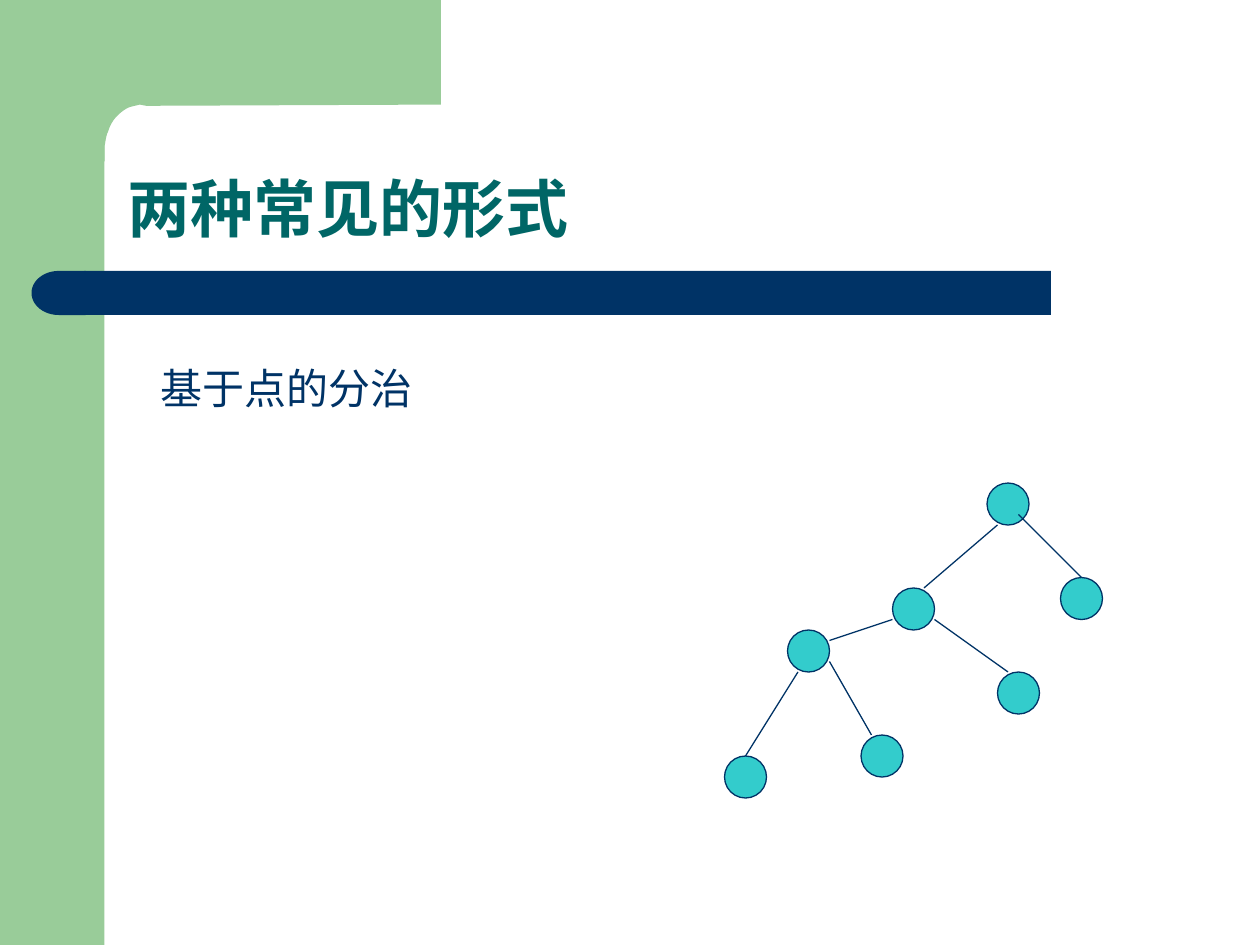
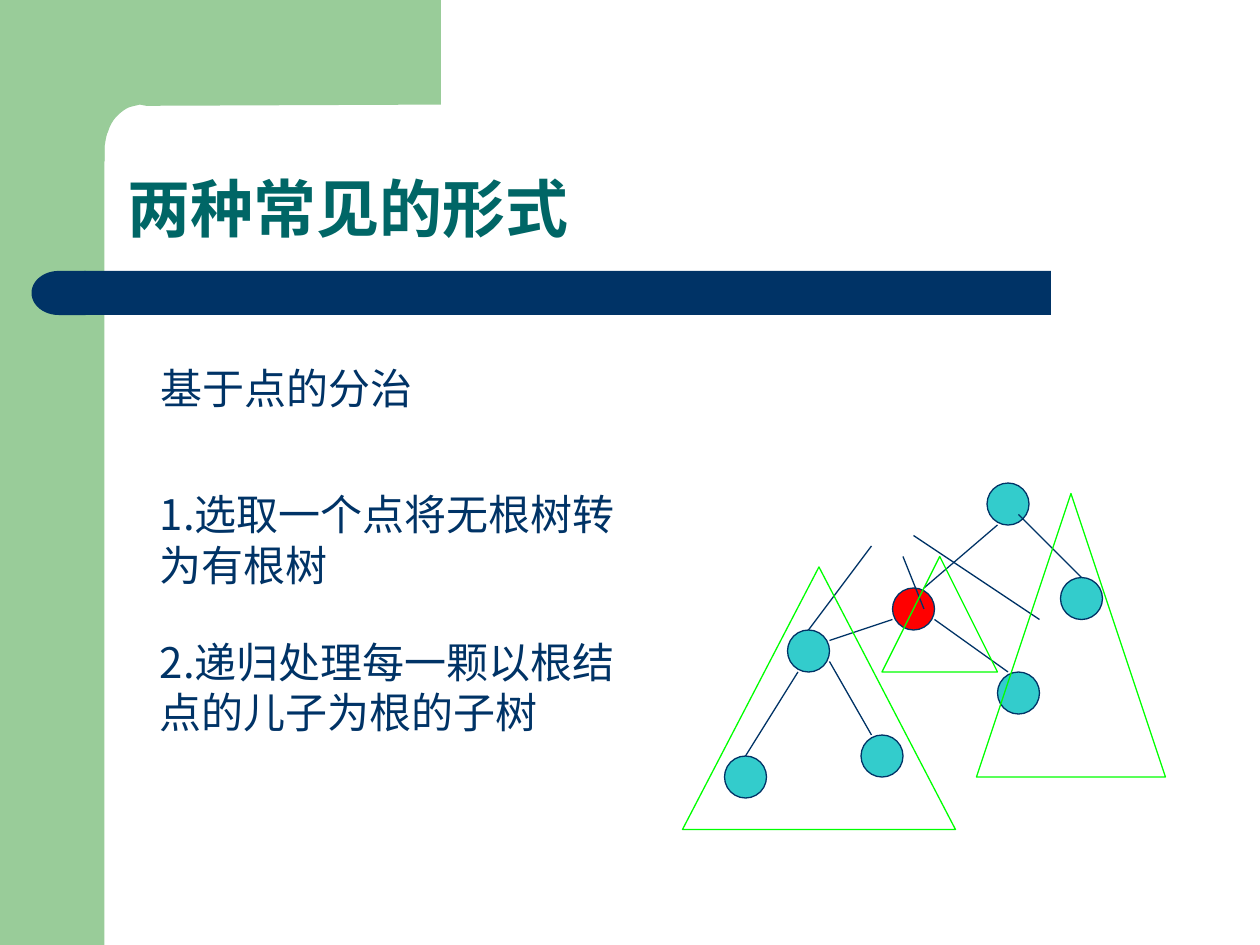
import lxml.etree
import pptx
import pptx.dml.color
import pptx.enum.shapes
import pptx.enum.text
import pptx.oxml.ns
import pptx.util

Inches, Pt = pptx.util.Inches, pptx.util.Pt
SHAPE = pptx.enum.shapes.MSO_SHAPE
ANCHOR = pptx.enum.text.MSO_ANCHOR

COLORS = {"band": "99CC99", "bar": "003366", "title": "006666", "text": "003366",
          "line": "003366", "node": "33CCCC", "chosen": "FF0000", "subtree": "00FF00"}
LATIN, CJK = "Arial", "Noto Sans CJK SC"
LINE_WIDTH = Pt(0.74)

TITLE = "两种常见的形式"
SUBTITLE = "基于点的分治"
STEPS = [("1.选取一个点将无根树转为有根树", 3.83),
         ("2.递归处理每一颗以根结点的儿子为根的子树", 5)]

# The tree lies on a grid of twelfths of an inch.
GRID = 12
NODE_SIZE = 4
NODES = {"top": (94, 46), "right": (101, 55), "hub": (85, 56), "left": (75, 60),
         "left leaf": (69, 72), "middle leaf": (82, 70), "lower": (95, 64)}
EDGES = [((76, 64), (71, 72)), ((79, 63), (83, 70)), ((79, 61), (85, 59)),
         ((89, 59), (96, 64)), ((88, 56), (95, 50)), ((97, 49), (103, 55))]
ROOT_EDGES = [((83, 52), (77, 60)), ((86, 53), (88, 58)), ((87, 51), (99, 59))]
SUBTREES = [(65, 54, 26, 25), (84, 53, 11, 11), (93, 47, 18, 27)]

SLIDES = [{"chosen": None, "steps": [], "root_edges": [], "subtrees": []},
          {"chosen": "hub", "steps": STEPS, "root_edges": ROOT_EDGES, "subtrees": SUBTREES}]

# The corner band: straight points, then curves (two controls and an end), then straight points.
CORNER_START = [(3.5, 0), (3.5, 0.83), (1.16, 0.84), (1.11, 0.83), (1.03, 0.85)]
CORNER_CURVES = [((1, 0.86), (0.96, 0.89), (0.93, 0.92)),
                 ((0.9, 0.95), (0.87, 1), (0.86, 1.04)),
                 ((0.84, 1.08), (0.84, 1.12), (0.83, 1.16))]
CORNER_END = [(0.83, 1.28), (0.5, 1.28), (0.5, 0)]


def rgb(name):
    """Return the named colour."""
    return pptx.dml.color.RGBColor.from_string(COLORS[name])


def grid(value):
    """Turn grid steps into a length."""
    return Inches(value / GRID)


def paint(shape, fill=None, line=None):
    """Give a shape a flat fill and outline, either of which may be absent."""
    shape.shadow.inherit = False
    if fill:
        shape.fill.solid()
        shape.fill.fore_color.rgb = rgb(fill)
    else:
        shape.fill.background()
    if line:
        shape.line.color.rgb = rgb(line)
        shape.line.width = LINE_WIDTH
    else:
        shape.line.fill.background()


def corner_points():
    """List the corner outline in inches, with its curves sampled."""
    points = list(CORNER_START)
    for curve in CORNER_CURVES:
        start = points[-1]
        for step in range(1, 7):
            t = step / 6
            weights = ((1 - t) ** 3, 3 * t * (1 - t) ** 2, 3 * t * t * (1 - t), t ** 3)
            points.append(tuple(sum(weight * point[axis] for weight, point
                                    in zip(weights, (start, *curve))) for axis in (0, 1)))
    return points + CORNER_END


def decorate(layout, slide):
    """Draw the bands on a slide and move them behind its layout."""
    band = slide.shapes.add_shape(SHAPE.RECTANGLE, 0, 0, Inches(0.83), Inches(7.5))
    points = [(Inches(x), Inches(y)) for x, y in corner_points()]
    builder = slide.shapes.build_freeform(*points[0])
    builder.add_line_segments(points[1:], close=True)
    corner = builder.convert_to_shape()
    bar = slide.shapes.add_shape(SHAPE.RECTANGLE, Inches(0.67), Inches(2.15),
                                 Inches(7.67), Inches(0.35))
    cap = slide.shapes.add_shape(SHAPE.FLOWCHART_DELAY, Inches(0.25), Inches(2.15),
                                 Inches(0.43), Inches(0.35))
    cap.rotation = 180
    parts = [(band, "band"), (corner, "band"), (bar, "bar"), (cap, "bar")]
    for index, (shape, color) in enumerate(parts):
        paint(shape, color)
        layout.shapes.element.insert(2 + index, shape.element)


def write(shape, text, box, size, color, font=LATIN, bold=False, anchor=ANCHOR.TOP):
    """Place a text shape and write one plain paragraph in it."""
    shape.left, shape.top, shape.width, shape.height = (Inches(value) for value in box)
    frame = shape.text_frame
    frame.word_wrap = True
    frame.auto_size = pptx.enum.text.MSO_AUTO_SIZE.NONE
    frame.vertical_anchor = anchor
    frame.text = text
    paragraph = frame.paragraphs[0]
    paragraph.alignment = pptx.enum.text.PP_ALIGN.LEFT
    paragraph.font.name = font
    paragraph.font.size = Pt(size)
    paragraph.font.bold = bold
    paragraph.font.color.rgb = rgb(color)
    east_asian = lxml.etree.Element(pptx.oxml.ns.qn("a:ea"), typeface=CJK)
    paragraph.font._element.find(pptx.oxml.ns.qn("a:latin")).addnext(east_asian) \
        if hasattr(paragraph.font, "_element") else None
    return paragraph


def add_texts(slide, steps):
    """Fill the title and body placeholders and add the numbered steps."""
    title = write(slide.shapes.title, TITLE, (0.91, 0.91, 8.51, 1.09), 36, "title",
                  bold=True, anchor=ANCHOR.BOTTOM)
    title.line_spacing = 0.9
    body = write(slide.placeholders[1], SUBTITLE, (1.17, 2.83, 3.17, 0.5), 24, "text")
    body.space_before = Pt(15)
    properties = body._p.get_or_add_pPr()
    properties.set("marL", "0")
    properties.set("indent", "0")
    bullet = lxml.etree.Element(pptx.oxml.ns.qn("a:buNone"))
    properties.find(pptx.oxml.ns.qn("a:defRPr")).addprevious(bullet)
    for text, top in steps:
        box = slide.shapes.add_textbox(0, 0, 0, 0)
        step = write(box, text, (1.17, top, 4, 0.9), 24, "text", font=CJK)
        step.space_before = Pt(15)


def add_edge(slide, start, end):
    """Draw a straight tree edge between two grid points."""
    edge = slide.shapes.add_connector(pptx.enum.shapes.MSO_CONNECTOR.STRAIGHT,
                                      *(grid(value) for value in (*start, *end)))
    edge.line.color.rgb = rgb("line")
    edge.line.width = LINE_WIDTH
    lxml.etree.SubElement(edge.element.spPr, pptx.oxml.ns.qn("a:effectLst"))


def add_tree(slide, chosen, root_edges, subtrees):
    """Draw the nodes, the edges and the triangles around the subtrees."""
    for name, (left, top) in NODES.items():
        node = slide.shapes.add_shape(SHAPE.OVAL, grid(left), grid(top),
                                      grid(NODE_SIZE), grid(NODE_SIZE))
        paint(node, "chosen" if name == chosen else "node", "line")
    for start, end in EDGES + root_edges:
        add_edge(slide, start, end)
    for box in subtrees:
        triangle = slide.shapes.add_shape(SHAPE.ISOSCELES_TRIANGLE, *map(grid, box))
        paint(triangle, line="subtree")


def main():
    """Build and save the presentation."""
    presentation = pptx.Presentation()
    presentation.slide_width, presentation.slide_height = Inches(10), Inches(7.5)
    layout = presentation.slide_layouts[1]
    for number, content in enumerate(SLIDES):
        slide = presentation.slides.add_slide(layout)
        if number == 0:
            decorate(layout, slide)
        add_texts(slide, content["steps"])
        add_tree(slide, content["chosen"], content["root_edges"], content["subtrees"])
    presentation.save("out.pptx")


main()
